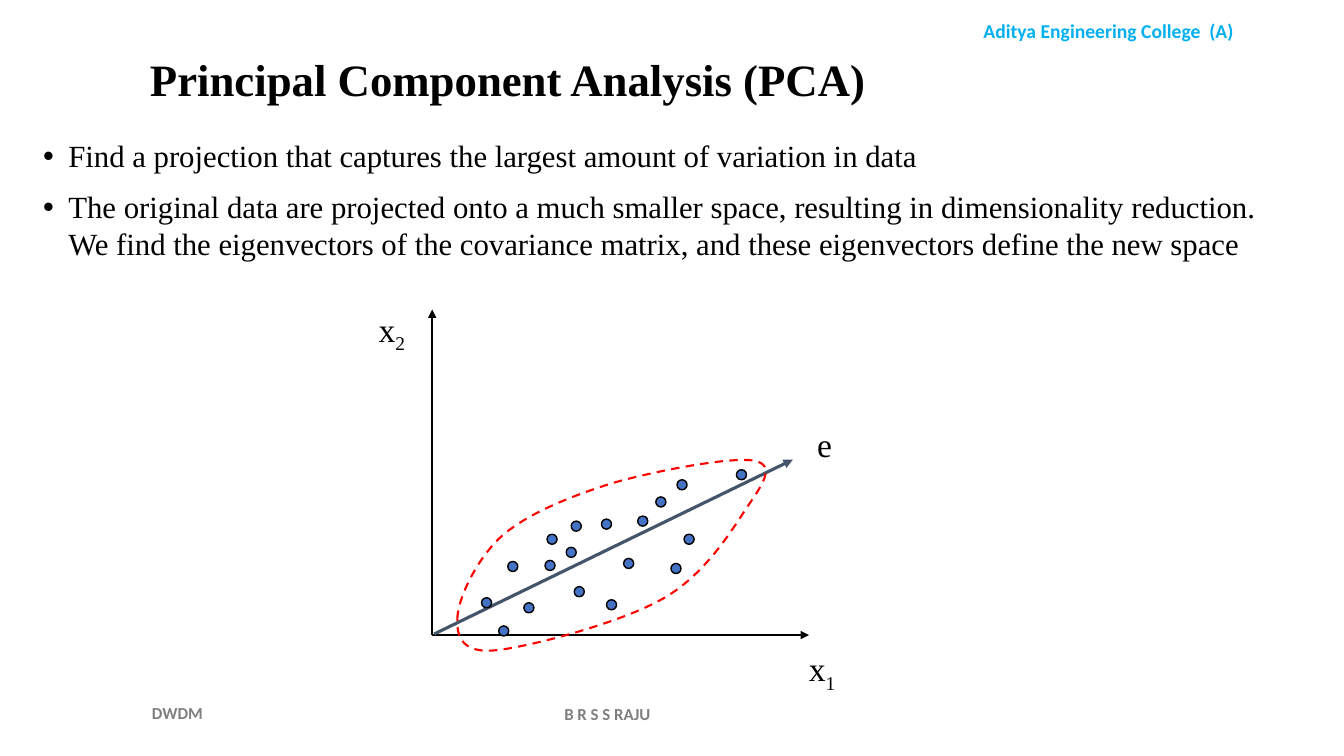
from lxml.etree import SubElement
from pptx import Presentation
from pptx.dml.color import RGBColor
from pptx.enum.dml import MSO_LINE
from pptx.enum.shapes import MSO_CONNECTOR, MSO_SHAPE
from pptx.enum.text import MSO_ANCHOR, PP_ALIGN
from pptx.oxml.ns import qn
from pptx.util import Emu, Pt

PX = 9144  # one px is 1/100 inch

THEME = {
    "serif": "Times New Roman", "sans": "Calibri",
    "black": "000000", "header": "00B0F0", "footer": "7F7F7F",
    "dot": "4472C4", "component": "44546A", "outline": "FF0000",
    "title_size": 32, "label_size": 24, "body_size": 22,
    "header_size": 14, "footer_size": 12,
    "axis_width": 1, "component_width": 2.25, "outline_width": 1.5,
}

# text, box (left, top, width, height), font, size, colour, alignment, anchor
HEADINGS = [
    ("Aditya Engineering College  (A)", (909, 14, 383, 34),
     "sans", "header_size", "header", PP_ALIGN.CENTER, MSO_ANCHOR.TOP),
    ("DWDM", (141, 687, 151, 40),
     "sans", "footer_size", "footer", PP_ALIGN.LEFT, MSO_ANCHOR.MIDDLE),
    ("B R S S RAJU", (453, 688, 300, 40),
     "sans", "footer_size", "footer", PP_ALIGN.CENTER, MSO_ANCHOR.MIDDLE),
    ("Principal Component Analysis (PCA)", (139, 52, 748, 92),
     "serif", "title_size", "black", PP_ALIGN.LEFT, MSO_ANCHOR.TOP),
]
BULLETS = [
    "Find a projection that captures the largest amount of variation in data",
    "The original data are projected onto a much smaller space, resulting in "
    "dimensionality reduction. We find the eigenvectors of the covariance "
    "matrix, and these eigenvectors define the new space",
]
BULLET_BOX = (33, 131, 1248, 141)

# label, subscript, box
AXIS_LABELS = [
    ("x", "2", (366, 301, 46, 56)),
    ("x", "1", (793, 638, 46, 56)),
    ("e", "", (801, 416, 35, 50)),
]
# start, end, colour, width
ARROWS = [
    ((429, 630), (429, 307), "black", "axis_width"),
    ((429, 630), (803, 630), "black", "axis_width"),
    ((431, 629), (787, 456), "component", "component_width"),
]
DOT_SIZE = 10
DOTS = [
    (504, 557), (543, 530), (478, 593), (562, 543), (541, 556), (619, 554),
    (602, 595), (570, 582), (597, 515), (679, 530), (731, 466), (520, 598),
    (633, 512), (672, 476), (567, 517), (651, 493), (666, 559), (495, 621),
]
CLUSTER_START = (454, 614)
# two control points and the end of each Bézier segment
CLUSTER_CURVES = [
    ((454, 595), (473, 554), (499, 531)),
    ((525, 509), (567, 492), (609, 479)),
    ((651, 467), (726, 453), (748, 457)),
    ((771, 461), (757, 481), (741, 504)),
    ((726, 527), (699, 571), (658, 594)),
    ((616, 618), (528, 641), (494, 645)),
    ((460, 649), (453, 633), (454, 614)),
]
CURVE_STEPS = 16


def emu(lengths):
    return [Emu(round(length * PX)) for length in lengths]


def colour(name):
    return RGBColor.from_string(THEME[name])


def add_run(paragraph, text, font, size, fill, bold=False):
    run = paragraph.add_run()
    run.text = text
    run.font.name = THEME[font]
    run.font.size = Pt(THEME[size])
    run.font.bold = bold
    run.font.color.rgb = colour(fill)
    return run


def add_text_frame(slide, box, anchor=MSO_ANCHOR.TOP, wrap=True):
    frame = slide.shapes.add_textbox(*emu(box)).text_frame
    frame.word_wrap = wrap
    frame.vertical_anchor = anchor
    return frame


def add_headings(slide):
    for text, box, font, size, fill, alignment, anchor in HEADINGS:
        paragraph = add_text_frame(slide, box, anchor).paragraphs[0]
        paragraph.alignment = alignment
        if size == "title_size":
            paragraph.line_spacing = 0.9
        add_run(paragraph, text, font, size, fill, bold=True)


def add_bullets(slide):
    frame = add_text_frame(slide, BULLET_BOX)
    for index, text in enumerate(BULLETS):
        paragraph = frame.add_paragraph() if index else frame.paragraphs[0]
        paragraph.line_spacing = 1.0
        if index:
            paragraph.space_before = Pt(10)
        properties = paragraph._p.get_or_add_pPr()
        properties.set("marL", str(25 * PX))
        properties.set("indent", str(-25 * PX))
        SubElement(properties, qn("a:buFont"), typeface="Arial")
        SubElement(properties, qn("a:buChar"), char="•")
        add_run(paragraph, text, "serif", "body_size", "black")


def add_axis_labels(slide):
    for label, subscript, box in AXIS_LABELS:
        frame = add_text_frame(slide, box, MSO_ANCHOR.MIDDLE, wrap=False)
        paragraph = frame.paragraphs[0]
        paragraph.alignment = PP_ALIGN.CENTER
        add_run(paragraph, label, "serif", "label_size", "black")
        if subscript:
            run = add_run(paragraph, subscript, "serif", "label_size", "black")
            run._r.get_or_add_rPr().set("baseline", "-25000")


def add_arrows(slide):
    for start, end, fill, width in ARROWS:
        arrow = slide.shapes.add_connector(
            MSO_CONNECTOR.STRAIGHT, *emu(start + end))
        arrow.line.color.rgb = colour(fill)
        arrow.line.width = Pt(THEME[width])
        SubElement(arrow.line._get_or_add_ln(), qn("a:tailEnd"), type="triangle")
        SubElement(arrow._element.spPr, qn("a:effectLst"))


def add_dots(slide):
    for left, top in DOTS:
        dot = slide.shapes.add_shape(
            MSO_SHAPE.OVAL, *emu((left, top, DOT_SIZE, DOT_SIZE)))
        dot.shadow.inherit = False
        dot.fill.solid()
        dot.fill.fore_color.rgb = colour("dot")
        dot.line.color.rgb = colour("black")
        dot.line.width = Pt(THEME["axis_width"])


def bezier_point(start, first, second, end, t):
    s = 1 - t
    return [s**3 * a + 3 * s * s * t * b + 3 * s * t * t * c + t**3 * d
            for a, b, c, d in zip(start, first, second, end)]


def add_cluster_outline(slide):
    points, start = [], CLUSTER_START
    for first, second, end in CLUSTER_CURVES:
        points += [emu(bezier_point(start, first, second, end, step / CURVE_STEPS))
                   for step in range(1, CURVE_STEPS + 1)]
        start = end
    builder = slide.shapes.build_freeform(*emu(CLUSTER_START))
    builder.add_line_segments(points, close=True)
    outline = builder.convert_to_shape()
    outline.shadow.inherit = False
    outline.fill.background()
    outline.line.color.rgb = colour("outline")
    outline.line.width = Pt(THEME["outline_width"])
    outline.line.dash_style = MSO_LINE.DASH


def main():
    presentation = Presentation()
    presentation.slide_width, presentation.slide_height = emu((1334, 750))
    slide = presentation.slides.add_slide(presentation.slide_layouts[6])
    add_headings(slide)
    add_bullets(slide)
    add_arrows(slide)
    add_dots(slide)
    add_cluster_outline(slide)
    add_axis_labels(slide)
    presentation.save("out.pptx")


if __name__ == "__main__":
    main()
